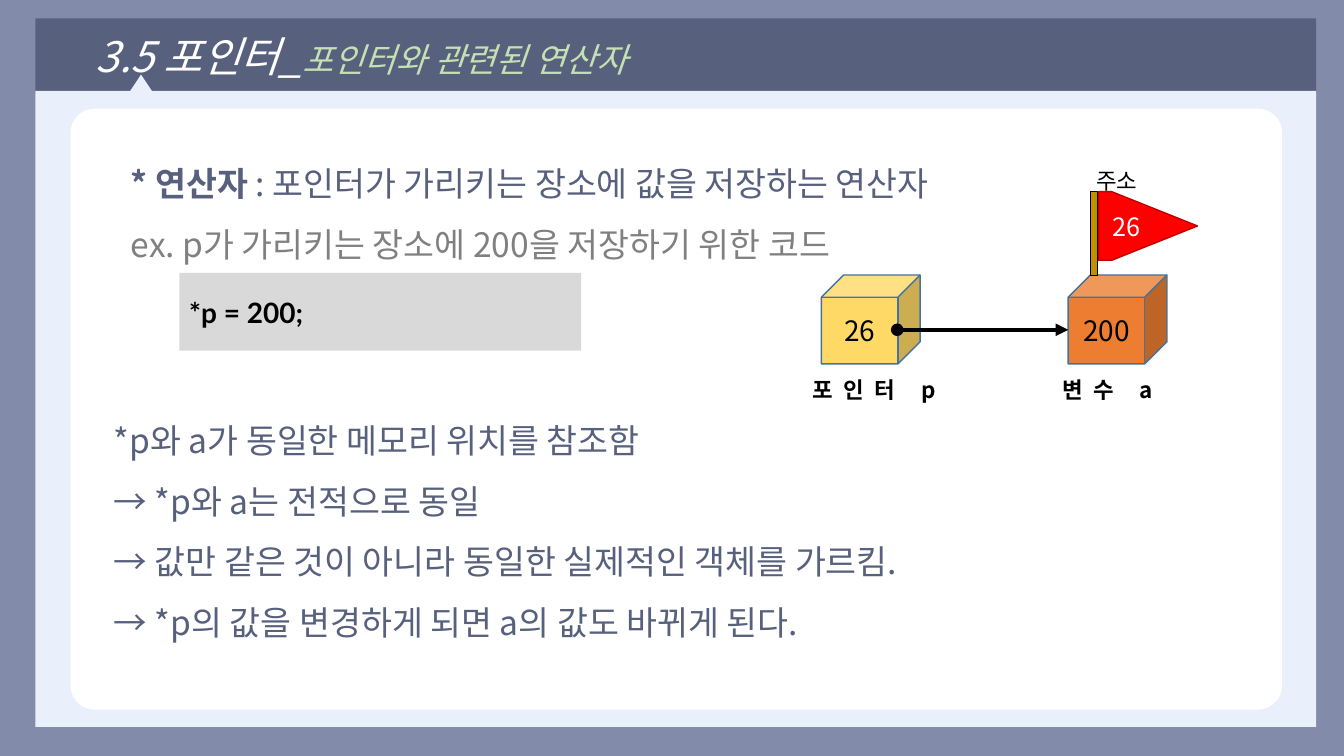
from lxml.etree import SubElement
from pptx import Presentation
from pptx.dml.color import RGBColor
from pptx.enum.shapes import MSO_CONNECTOR, MSO_SHAPE as Shape
from pptx.enum.text import MSO_ANCHOR, MSO_AUTO_SIZE as AutoSize, PP_ALIGN as Align
from pptx.oxml.ns import qn
from pptx.util import Cm, Pt

KOREAN, CODE = "Noto Sans CJK KR", "Lato"
SLATE, PALE, WHITE, BLACK = "57607D", "E9EFFB", "FFFFFF", "000000"
EDGE = "43739E"


def paint(target, color):
    target.solid()
    target.fore_color.rgb = RGBColor.from_string(color)


class SlideBuilder:
    """Hold the shared text style and the slide, and add each kind of element."""

    def __init__(self, slide, font):
        self.slide, self.font = slide, font

    def fill_text(self, frame, paragraphs, size, color, font=None, align=Align.LEFT,
                  indent=0, spacing=1.0, tracking=0):
        frame.word_wrap = True
        for index, pieces in enumerate(paragraphs):
            paragraph = frame.add_paragraph() if index else frame.paragraphs[0]
            paragraph.alignment, paragraph.line_spacing = align, spacing
            if indent:
                properties = paragraph._p.get_or_add_pPr()
                properties.set("marL", str(Cm(indent)))
                properties.set("indent", "0")
            for words, style in pieces:
                run = paragraph.add_run()
                run.text = words
                run.font.name = font or self.font
                run.font.size = Pt(style.get("size", size))
                run.font.bold = style.get("bold", False)
                run.font.italic = style.get("italic", False)
                paint(run.font.fill, style.get("color", color))
                properties = run._r.get_or_add_rPr()
                SubElement(properties, qn("a:ea"), typeface=font or self.font)
                if tracking:
                    properties.set("spc", str(int(tracking * 100)))

    def title(self, box, fill, pieces, **style):
        bar = self.slide.shapes.title
        bar.left, bar.top, bar.width, bar.height = map(Cm, box)
        paint(bar.fill, fill)
        bar.text_frame.auto_size = AutoSize.NONE
        bar.text_frame.vertical_anchor = MSO_ANCHOR.MIDDLE
        self.fill_text(bar.text_frame, [pieces], **style)

    def shape(self, kind, box, fill, edge=None, adjust=None, pieces=None, **style):
        item = self.slide.shapes.add_shape(kind, *map(Cm, box))
        item.shadow.inherit = False
        paint(item.fill, fill)
        if edge:
            paint(item.line.fill, edge)
            item.line.width = Pt(1)
        else:
            item.line.fill.background()
        if adjust is not None:
            item.adjustments[0] = adjust
        if pieces:
            item.text_frame.vertical_anchor = MSO_ANCHOR.MIDDLE
            self.fill_text(item.text_frame, [pieces], **style)

    def text(self, box, paragraphs, **style):
        frame = self.slide.shapes.add_textbox(*map(Cm, box)).text_frame
        self.fill_text(frame, paragraphs, **style)
        frame.auto_size = AutoSize.SHAPE_TO_FIT_TEXT

    def arrow(self, start, end, color, width):
        line = self.slide.shapes.add_connector(
            MSO_CONNECTOR.STRAIGHT, *map(Cm, start + end))
        paint(line.line.fill, color)
        line.line.width = Pt(width)
        outline = line.line._get_or_add_ln()
        SubElement(outline, qn("a:headEnd"), type="oval")
        SubElement(outline, qn("a:tailEnd"), type="triangle")
        SubElement(line._element.spPr, qn("a:effectLst"))


def main():
    deck = Presentation()
    deck.slide_width, deck.slide_height = Cm(33.87), Cm(19.05)
    slide = deck.slides.add_slide(deck.slide_layouts[5])
    paint(slide.background.fill, "828BAA")
    page = SlideBuilder(slide, KOREAN)

    page.title((0.89, 0.46, 32.28, 1.9), SLATE, [
        ("3.5 포인터_", {"italic": True}),
        ("포인터와 관련된 연산자", {"italic": True, "size": 24, "color": "C5E0B4"}),
    ], size=30, color=WHITE, indent=1.27)
    page.shape(Shape.RECTANGLE, (0.89, 2.29, 32.28, 16.03), PALE)
    page.shape(Shape.ROUNDED_RECTANGLE, (1.78, 2.74, 30.53, 15.14), WHITE, adjust=0.04)
    page.shape(Shape.ISOSCELES_TRIANGLE, (3.25, 1.88, 0.61, 0.46), PALE)

    variables = [
        (20.7, 20.22, "FFD966", "26", "포인터 p"),
        (26.92, 26.52, "ED7D31", "200", "변수 a"),
    ]
    for cube_left, name_left, fill, value, name in variables:
        page.shape(Shape.CUBE, (cube_left, 6.93, 2.49, 2.24), fill, EDGE,
                   pieces=[(value, {})], size=20, color=BLACK, align=Align.CENTER)
        page.text((name_left, 9.35, 3.78, 0.94), [[(name, {"bold": True})]],
                  size=16, color=BLACK, tracking=7.5)
    page.arrow((22.61, 8.31), (26.92, 8.31), BLACK, 3)

    page.shape(Shape.RECTANGLE, (27.48, 4.83, 0.18, 2.11), "BF9000", BLACK)
    page.shape(Shape.PENTAGON, (27.69, 4.83, 2.49, 1.73), "FF0000", "C00000", 1.25,
               [("26", {})], size=18, color=WHITE, align=Align.CENTER)
    page.text((27.38, 4.09, 1.78, 0.94), [[("주소", {})]], size=16, color=BLACK)

    page.text((1.78, 3.48, 30.58, 3.15), [
        [("* 연산자 ", {"bold": True}),
         (": 포인터가 가리키는 장소에 값을 저장하는 연산자", {})],
        [("ex. p가 가리키는 장소에 200을 저장하기 위한 코드", {"color": "808080"})],
    ], size=24, color=SLATE, indent=1.27, spacing=1.5)
    page.shape(Shape.RECTANGLE, (4.52, 6.88, 10.13, 1.96), "D9D9D9",
               pieces=[("*p = 200;", {"bold": True})], size=20, color=BLACK, font=CODE)

    conclusions = [
        "*p와 a가 동일한 메모리 위치를 참조함",
        "→ *p와 a는 전적으로 동일",
        "→ 값만 같은 것이 아니라 동일한 실제적인 객체를 가르킴.",
        "→ *p의 값을 변경하게 되면 a의 값도 바뀌게 된다.",
    ]
    page.text((2.62, 9.96, 27.94, 6.22), [[(line, {})] for line in conclusions],
              size=24, color=SLATE, spacing=1.5)

    deck.save("out.pptx")


if __name__ == "__main__":
    main()
